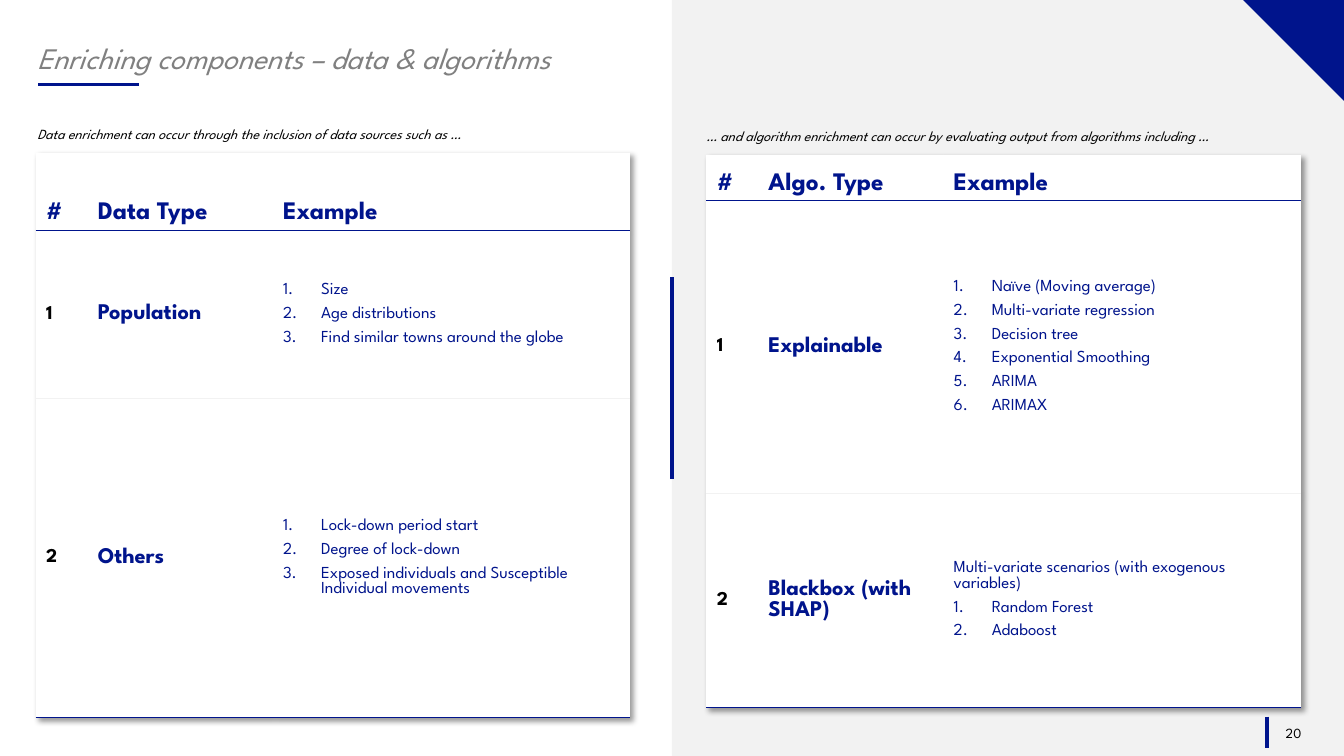
from dataclasses import dataclass

from lxml import etree
from pptx import Presentation
from pptx.dml.color import RGBColor
from pptx.enum.shapes import MSO_CONNECTOR, MSO_SHAPE
from pptx.enum.text import MSO_ANCHOR, PP_ALIGN
from pptx.oxml.ns import qn
from pptx.util import Cm, Pt

STRAIGHT = MSO_CONNECTOR.STRAIGHT
RECTANGLE, TRIANGLE = MSO_SHAPE.RECTANGLE, MSO_SHAPE.RIGHT_TRIANGLE
TOP, MIDDLE, BOTTOM = MSO_ANCHOR.TOP, MSO_ANCHOR.MIDDLE, MSO_ANCHOR.BOTTOM
LEFT, CENTER = PP_ALIGN.LEFT, PP_ALIGN.CENTER


@dataclass(frozen=True)
class Theme:
    font: str = "League Spartan"
    navy: str = "00148C"
    panel: str = "F2F2F2"
    white: str = "FFFFFF"
    black: str = "000000"
    grey: str = "808080"
    title: float = 21.3
    header: float = 18
    category: float = 16
    number: float = 14
    example: float = 12
    small: float = 10
    accent_line: float = 2.25
    border: float = 1


THEME = Theme()
WIDTH, HEIGHT = 33.87, 19.05
HALF = WIDTH / 2
CORNER = 2.54
COLUMNS = (1.3, 4.67, 8.99)
NUMBER_INDENT = 0.96

TITLE = "Enriching components – data & algorithms"
PAGE = "20"
ACCENTS = [
    (HALF, 6.98, HALF, 12.06),
    (0.97, 2.13, 3.51, 2.13),
    (31.93, 18.06, 31.93, 18.85),
]
TABLES = [
    {
        "caption": "Data enrichment can occur through the inclusion of data sources such as …",
        "caption_box": (0.69, 3.05, 13.79, 0.69),
        "corner": (0.91, 3.86),
        "rows": (1.95, 4.23, 8.04),
        "header": ("#", "Data Type", "Example"),
        "body": [
            ("Population", "", ["Size", "Age distributions", "Find similar towns around the globe"]),
            ("Others", "", ["Lock-down period start", "Degree of lock-down",
                            "Exposed individuals and Susceptible Individual movements"]),
        ],
    },
    {
        "caption": "… and algorithm enrichment can occur by evaluating output from algorithms including …",
        "caption_box": (17.55, 3.1, 16.03, 0.69),
        "corner": (17.81, 3.91),
        "rows": (1.15, 7.37, 5.4),
        "header": ("#", "Algo. Type", "Example"),
        "body": [
            ("Explainable", "", ["Naïve (Moving average)", "Multi-variate regression", "Decision tree",
                                 "Exponential Smoothing", "ARIMA", "ARIMAX"]),
            ("Blackbox (with SHAP)", "Multi-variate scenarios (with exogenous variables)",
             ["Random Forest", "Adaboost"]),
        ],
    },
]


def rgb(color):
    return RGBColor.from_string(color)


def add_run(paragraph, text, size, color, bold=False, italic=False):
    run = paragraph.add_run()
    run.text = text
    font = run.font
    font.name, font.size, font.bold, font.italic = THEME.font, Pt(size), bold, italic
    font.color.rgb = rgb(color)


def add_shape(slide, kind, box, color, rotation=0):
    shape = slide.shapes.add_shape(kind, *map(Cm, box))
    shape.shadow.inherit = False
    shape.fill.solid()
    shape.fill.fore_color.rgb = rgb(color)
    shape.line.fill.background()
    shape.rotation = rotation


def add_accent(slide, ends):
    connector = slide.shapes.add_connector(STRAIGHT, *map(Cm, ends))
    connector.line.color.rgb = rgb(THEME.navy)
    connector.line.width = Pt(THEME.accent_line)
    etree.SubElement(connector._element.spPr, qn("a:effectLst"))


def add_text(slide, box, text, size, color, italic=False, anchor=TOP, align=LEFT, spacing=1.0):
    frame = slide.shapes.add_textbox(*map(Cm, box)).text_frame
    frame.word_wrap = True
    frame.vertical_anchor = anchor
    paragraph = frame.paragraphs[0]
    paragraph.alignment = align
    paragraph.line_spacing = spacing
    add_run(paragraph, text, size, color, italic=italic)


def add_color(parent, color, alpha=None):
    node = etree.SubElement(parent, qn("a:srgbClr"), val=color)
    if alpha:
        etree.SubElement(node, qn("a:alpha"), val=str(alpha))


def style_cell(cell, anchor, top, bottom):
    cell.vertical_anchor = anchor
    cell.fill.solid()
    cell.fill.fore_color.rgb = rgb(THEME.white)
    properties = cell._tc.get_or_add_tcPr()
    sides = (("L", THEME.white), ("R", THEME.white), ("T", top), ("B", bottom))
    for position, (side, color) in enumerate(sides):
        line = etree.Element(qn(f"a:ln{side}"), w=str(Pt(THEME.border)))
        add_color(etree.SubElement(line, qn("a:solidFill")), color)
        properties.insert(position, line)


def add_table_shadow(table):
    effects = etree.Element(qn("a:effectLst"))
    shadow = etree.SubElement(effects, qn("a:outerShdw"), blurRad=str(Pt(4)), dist=str(Pt(3)),
                              dir="2700000", algn="tl", rotWithShape="0")
    add_color(shadow, THEME.black, 40000)
    table._tbl.tblPr.insert(0, effects)


def fill_examples(frame, intro, examples):
    lines = [(intro, False)] if intro else []
    lines += [(example, True) for example in examples]
    for index, (text, numbered) in enumerate(lines):
        paragraph = frame.add_paragraph() if index else frame.paragraphs[0]
        paragraph.space_after = Pt(6)
        if numbered:
            properties = paragraph._p.get_or_add_pPr()
            properties.set("marL", str(Cm(NUMBER_INDENT)))
            properties.set("indent", str(-Cm(NUMBER_INDENT)))
            etree.SubElement(properties, qn("a:buFont"), typeface="+mj-lt")
            etree.SubElement(properties, qn("a:buAutoNum"), type="arabicPeriod")
        add_run(paragraph, text, THEME.example, THEME.navy)


def add_enrichment_table(slide, content):
    rows = content["rows"]
    box = (*content["corner"], sum(COLUMNS), sum(rows))
    table = slide.shapes.add_table(len(rows), len(COLUMNS), *map(Cm, box)).table
    table.horz_banding = False
    add_table_shadow(table)
    for column, width in zip(table.columns, COLUMNS):
        column.width = Cm(width)
    for row, height in zip(table.rows, rows):
        row.height = Cm(height)

    rules = (THEME.white, THEME.navy, THEME.panel, THEME.navy)
    for index, row in enumerate(table.rows):
        for cell in row.cells:
            style_cell(cell, MIDDLE if index else BOTTOM, rules[index], rules[index + 1])

    for cell, text in zip(table.rows[0].cells, content["header"]):
        add_run(cell.text_frame.paragraphs[0], text, THEME.header, THEME.navy, bold=True)
    for index, (category, intro, examples) in enumerate(content["body"], start=1):
        number, kind, example = (cell.text_frame for cell in table.rows[index].cells)
        add_run(number.paragraphs[0], str(index), THEME.number, THEME.black, bold=True)
        add_run(kind.paragraphs[0], category, THEME.category, THEME.navy, bold=True)
        fill_examples(example, intro, examples)


def main():
    presentation = Presentation()
    presentation.slide_width, presentation.slide_height = Cm(WIDTH), Cm(HEIGHT)
    slide = presentation.slides.add_slide(presentation.slide_layouts[6])
    add_shape(slide, RECTANGLE, (HALF, 0, HALF, HEIGHT), THEME.panel)
    for ends in ACCENTS:
        add_accent(slide, ends)
    add_text(slide, (32.08, 18.08, 1.04, 0.76), PAGE, THEME.small, THEME.black,
             anchor=MIDDLE, align=CENTER)
    add_text(slide, (0.69, 0.97, 31.37, 1.09), TITLE, THEME.title, THEME.grey,
             italic=True, anchor=MIDDLE, spacing=0.9)
    add_shape(slide, TRIANGLE, (WIDTH - CORNER, 0, CORNER, CORNER), THEME.navy, rotation=180)
    for content in TABLES:
        add_text(slide, content["caption_box"], content["caption"], THEME.small, THEME.black, italic=True)
        add_enrichment_table(slide, content)
    presentation.save("out.pptx")


if __name__ == "__main__":
    main()
